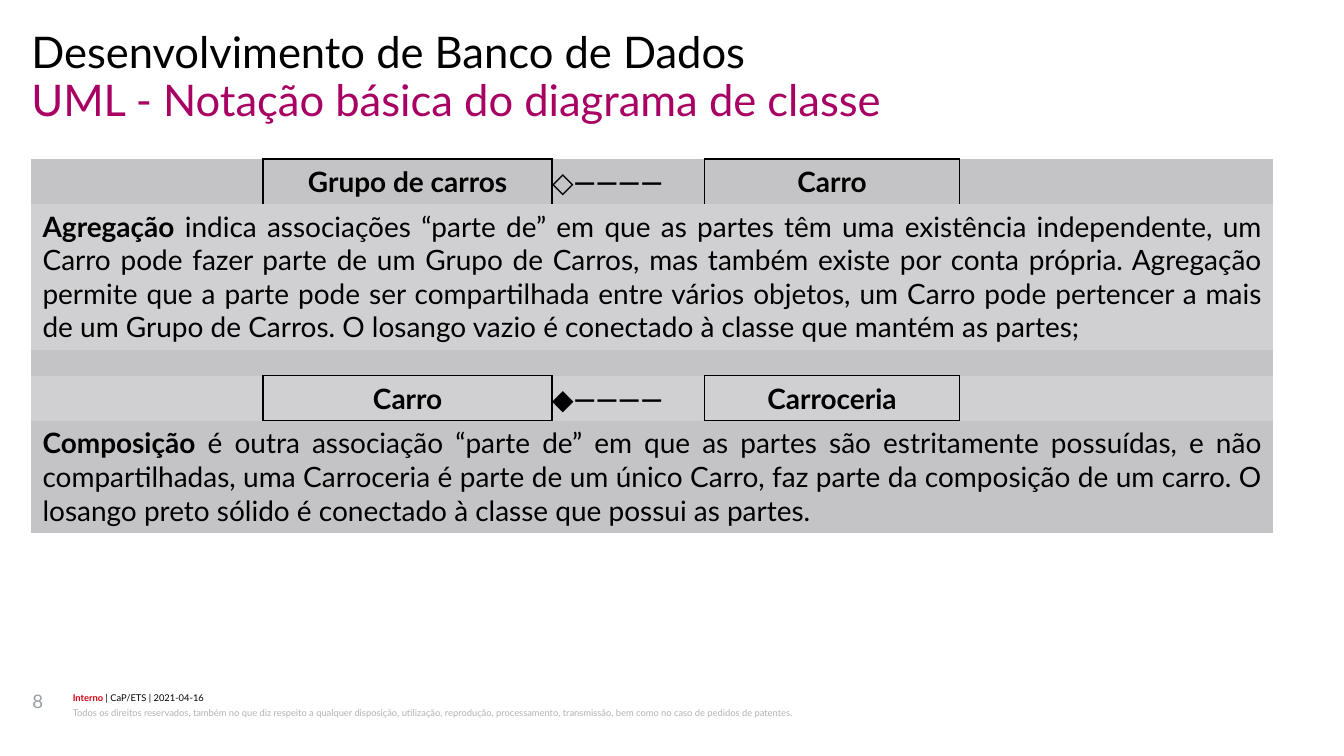
from lxml import etree
from pptx import Presentation
from pptx.dml.color import RGBColor
from pptx.enum import text
from pptx.oxml import parse_xml
from pptx.oxml.ns import nsdecls, qn
from pptx.util import Inches, Pt

BLACK = RGBColor(0, 0, 0)
MAGENTA = RGBColor(0xA8, 0x01, 0x63)
RED = RGBColor(0xD7, 0x00, 0x12)
GRAY = RGBColor(0xB2, 0xB3, 0xB5)
SLATE = RGBColor(0x99, 0x9F, 0xA6)
DARK = RGBColor(0xC4, 0xC4, 0xC6)
LIGHT = RGBColor(0xD0, 0xD0, 0xD2)
FONT = "Lato"
NO_GRID = "{2D5ABB26-0587-4C30-8999-92F81FD0307C}"

HEADING = "Desenvolvimento de Banco de Dados"
TITLE = "UML - Notação básica do diagrama de classe"
RIGHTS = ("Todos os direitos reservados, também no que diz respeito a qualquer disposição, "
          "utilização, reprodução, processamento, transmissão, bem como no caso de pedidos de patentes.")
COLUMNS = [2.07, 2.58, 1.36, 2.28, 2.8]
ROWS = [
    (0.4, DARK, ["", "Grupo de carros", "◇――――", "Carro", ""]),
    (1.3, LIGHT, ("Agregação",
     " indica associações “parte de” em que as partes têm uma existência independente, um Carro "
     "pode fazer parte de um Grupo de Carros, mas também existe por conta própria. Agregação "
     "permite que a parte pode ser compartilhada entre vários objetos, um Carro pode pertencer a "
     "mais de um Grupo de Carros. O losango vazio é conectado à classe que mantém as partes;")),
    (0.23, DARK, ()),
    (0.4, LIGHT, ["", "Carro", "◆――――", "Carroceria", ""]),
    (1.0, DARK, ("Composição",
     " é outra associação “parte de” em que as partes são estritamente possuídas, e não "
     "compartilhadas, uma Carroceria é parte de um único Carro, faz parte da composição de um "
     "carro. O losango preto sólido é conectado à classe que possui as partes.")),
]
CLASS_COLUMNS = (1, 3)
LINK_COLUMN = 2
SIDES = ["LRT" if c in CLASS_COLUMNS else
         "L" * (c - 1 in CLASS_COLUMNS) + "R" * (c + 1 in CLASS_COLUMNS)
         for c in range(len(COLUMNS))]


def style(para, size, color=BLACK, bold=False, spacing=None):
    """Set the font and line spacing of a paragraph."""
    para.font.name, para.font.size, para.font.bold = FONT, Pt(size), bold
    para.font.color.rgb = color
    if spacing:
        para.line_spacing = spacing


def place(box, left, top, width, height):
    """Position a text shape, clear its margins and return its first paragraph."""
    box.left, box.top, box.width, box.height = map(Inches, (left, top, width, height))
    frame = box.text_frame
    frame.margin_left = frame.margin_right = frame.margin_top = frame.margin_bottom = 0
    frame.word_wrap = True
    frame.auto_size = text.MSO_AUTO_SIZE.NONE
    frame.vertical_anchor = text.MSO_ANCHOR.TOP
    para = frame.paragraphs[0]
    para.alignment = text.PP_ALIGN.LEFT
    return para


def add_text(page, area, runs, size, color, spacing=None):
    """Add a text box made of runs and return its paragraph."""
    para = place(page.shapes.add_textbox(0, 0, 0, 0), *area)
    style(para, size, color, spacing=spacing)
    for run in runs:
        para.add_run().text = run
    return para


def draw_borders(cell, sides):
    """Draw black one-point lines on the given sides of a cell."""
    properties = cell._tc.get_or_add_tcPr()
    for index, side in enumerate(sides):
        properties.insert(index, parse_xml(
            f'<a:ln{side} {nsdecls("a")} w="12700"><a:solidFill>'
            f'<a:srgbClr val="{BLACK}"/></a:solidFill></a:ln{side}>'))


def fill_cell(cell, runs, fill, align, size=18):
    """Fill a cell and write its runs, the first of them bold."""
    cell.fill.solid()
    cell.fill.fore_color.rgb = fill
    cell.vertical_anchor = text.MSO_ANCHOR.MIDDLE
    para = cell.text_frame.paragraphs[0]
    para.alignment = align
    style(para, size, bold=len(runs) == 1)
    for index, words in enumerate(runs):
        span = para.add_run()
        span.text = words
        if len(runs) > 1:
            span.font.bold = index == 0


def add_class_table(page):
    """Add the table of class relations."""
    table = page.shapes.add_table(
        len(ROWS), len(COLUMNS), Inches(0.28), Inches(1.42),
        Inches(sum(COLUMNS)), Inches(sum(row[0] for row in ROWS))).table
    table.first_row = table.horz_banding = False
    table._tbl.tblPr.find(qn("a:tableStyleId")).text = NO_GRID
    for column, width in zip(table.columns, COLUMNS):
        column.width = Inches(width)
    for r, (height, fill, content) in enumerate(ROWS):
        table.rows[r].height = Inches(height)
        if isinstance(content, tuple):
            table.cell(r, 0).merge(table.cell(r, len(COLUMNS) - 1))
            fill_cell(table.cell(r, 0), content, fill, text.PP_ALIGN.JUSTIFY, 18 if content else 8)
            continue
        for c, words in enumerate(content):
            cell = table.cell(r, c)
            align = text.PP_ALIGN.CENTER
            if c == LINK_COLUMN:
                cell.margin_left = cell.margin_right = 0
                align = text.PP_ALIGN.JUSTIFY
            fill_cell(cell, [words] if words else [], fill, align)
            draw_borders(cell, SIDES[c])


def main():
    """Build and save the slide."""
    deck = Presentation()
    deck.slide_width, deck.slide_height = Inches(12), Inches(6.75)
    page = deck.slides.add_slide(deck.slide_layouts[5])
    page.shapes.title.text = TITLE
    style(place(page.shapes.title, 0.28, 0.71, 11.43, 0.43), 28, MAGENTA, spacing=0.89)
    add_text(page, (0.28, 0.28, 11.43, 0.43), [HEADING], 28, BLACK, 0.89)
    add_class_table(page)
    add_text(page, (0.29, 6.16, 0.32, 0.45), ["8"], 12, SLATE)
    footer = add_text(page, (0.65, 6.17, 10.01, 0.12),
                      ["Interno", " | CaP/ETS | 2021-04-16"], 6, BLACK, 1.07)
    footer.runs[0].font.bold = True
    footer.runs[0].font.color.rgb = RED
    add_text(page, (0.65, 6.29, 10.01, 0.24), [RIGHTS], 6, GRAY, 1.2)
    deck.save("out.pptx")


if __name__ == "__main__":
    main()
